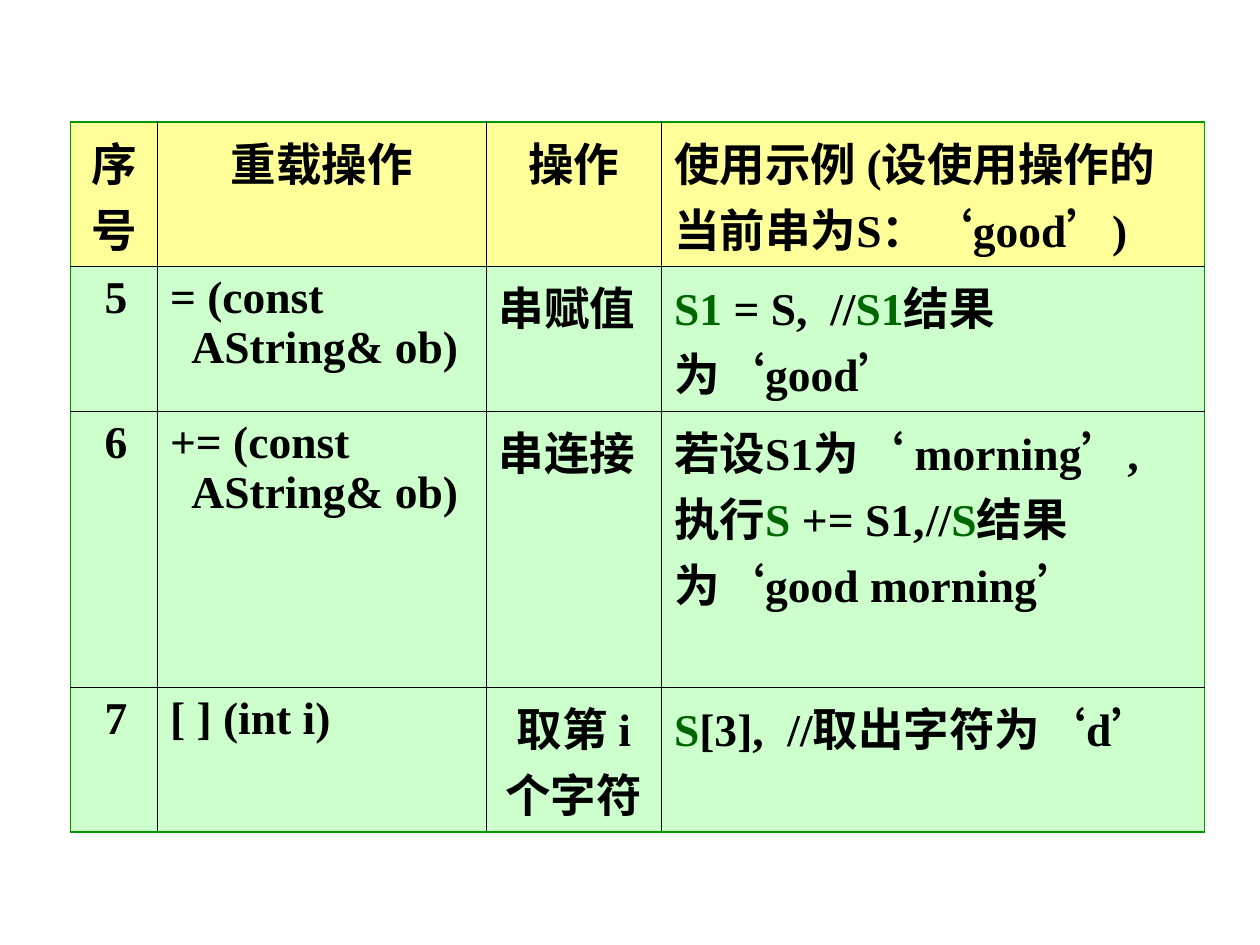
from dataclasses import dataclass

from lxml import etree
from pptx import Presentation
from pptx import util as u
from pptx.dml.color import RGBColor
from pptx.enum import lang, text
from pptx.oxml import ns


@dataclass(frozen=True)
class Theme:
    font: str = "Times New Roman"
    size: float = 26
    ink: str = "000000"
    code: str = "006600"
    head: str = "FFFF99"
    body: str = "CCFFCC"
    frame: str = "009900"
    thick: float = 1.08
    thin: float = 0.45


@dataclass(frozen=True)
class Run:
    text: str
    color: str = Theme.ink


@dataclass(frozen=True)
class Para:
    runs: tuple[Run, ...]
    center: bool = False
    indent: float = 0
    tab: float = 0


Cell = tuple[Para, ...]
THEME = Theme()
STEP = 0.17  # about two spaces at the table's type size
COLS = (0.69, 2.61, 1.39, 4.31)
ROWS = (0.97, 0.97, 1.4, 0.97)


def line(words: str, center: bool = False, indent: float = 0) -> Para:
    return Para((Run(words),), center, indent)


def code(words: str) -> Run:
    return Run(words, THEME.code)


def number(value: int) -> Cell:
    return (line(str(value), indent=STEP),)


def assign(sign: str) -> Cell:
    return (line(f"{sign} (const"), line("AString& ob)", indent=STEP))


TABLE: tuple[tuple[Cell, ...], ...] = (
    (
        (line("序", True), line("号", True)),
        (line("重载操作", True),),
        (line("操作", True),),
        (line("使用示例 (设使用操作的当前串为S：‘good’)"),),
    ),
    (
        number(5),
        assign("="),
        (line("串赋值"),),
        (Para((code("S1 "), Run("= S,\t//"), code("S1"),
               Run("结果为‘good’")), tab=1.24),),
    ),
    (
        number(6),
        assign("+="),
        (line("串连接"),),
        (Para((Run("若设S1为‘ morning’, 执行"), code("S "),
               Run("+= S1,\t//"), code("S"),
               Run("结果为‘good morning’")), tab=0.65),),
    ),
    (
        number(7),
        (line("[ ] (int i)"),),
        (line("取第 i", True), line("个字符", True)),
        (Para((code("S"), Run("[3],\t//取出字符为‘d’")), tab=0.9),),
    ),
)


def write(par, data: Para) -> None:
    """Fill a paragraph, keeping punctuation inside the right margin."""
    props = par._p.get_or_add_pPr()
    props.set("hangingPunct", "0")
    if data.indent:
        props.set("marL", str(u.Inches(data.indent)))
    if data.tab:
        tabs = etree.SubElement(props, ns.qn("a:tabLst"))
        etree.SubElement(tabs, ns.qn("a:tab"),
                         pos=str(u.Inches(data.tab)), algn="l")
    par.alignment = text.PP_ALIGN.CENTER if data.center else text.PP_ALIGN.LEFT
    for item in data.runs:
        run = par.add_run()
        run.text = item.text
        font = run.font
        font.name, font.size, font.bold = THEME.font, u.Pt(THEME.size), True
        font.color.rgb = RGBColor.from_string(item.color)
        font.language_id = lang.MSO_LANGUAGE_ID.SIMPLIFIED_CHINESE


def border(cell, row: int, col: int) -> None:
    """Give outer edges the frame line and inner edges a thin one."""
    outer = {"L": col == 0, "R": col == len(COLS) - 1,
             "T": row == 0, "B": row == len(ROWS) - 1}
    props = cell._tc.get_or_add_tcPr()
    for spot, (side, edge) in enumerate(outer.items()):
        width = THEME.thick if edge else THEME.thin
        rule = etree.Element(ns.qn(f"a:ln{side}"), w=str(u.Pt(width)))
        fill = etree.SubElement(rule, ns.qn("a:solidFill"))
        etree.SubElement(fill, ns.qn("a:srgbClr"),
                         val=THEME.frame if edge else THEME.ink)
        props.insert(spot, rule)


def draw(slide) -> None:
    frame = slide.shapes.add_table(
        len(ROWS), len(COLS), u.Inches(0.56), u.Inches(0.97),
        u.Inches(sum(COLS)), u.Inches(sum(ROWS)))
    table = frame.table
    table.first_row = table.horz_banding = False
    for col, width in zip(table.columns, COLS):
        col.width = u.Inches(width)
    for row, height in zip(table.rows, ROWS):
        row.height = u.Inches(height)
    for r, row in enumerate(TABLE):
        for c, paras in enumerate(row):
            cell = table.cell(r, c)
            cell.fill.solid()
            cell.fill.fore_color.rgb = RGBColor.from_string(
                THEME.body if r else THEME.head)
            border(cell, r, c)
            box = cell.text_frame
            for i, data in enumerate(paras):
                write(box.add_paragraph() if i else box.paragraphs[0], data)


def main() -> None:
    deck = Presentation()
    deck.slide_width, deck.slide_height = u.Inches(10), u.Inches(7.5)
    draw(deck.slides.add_slide(deck.slide_layouts[6]))
    deck.save("out.pptx")


if __name__ == "__main__":
    main()
